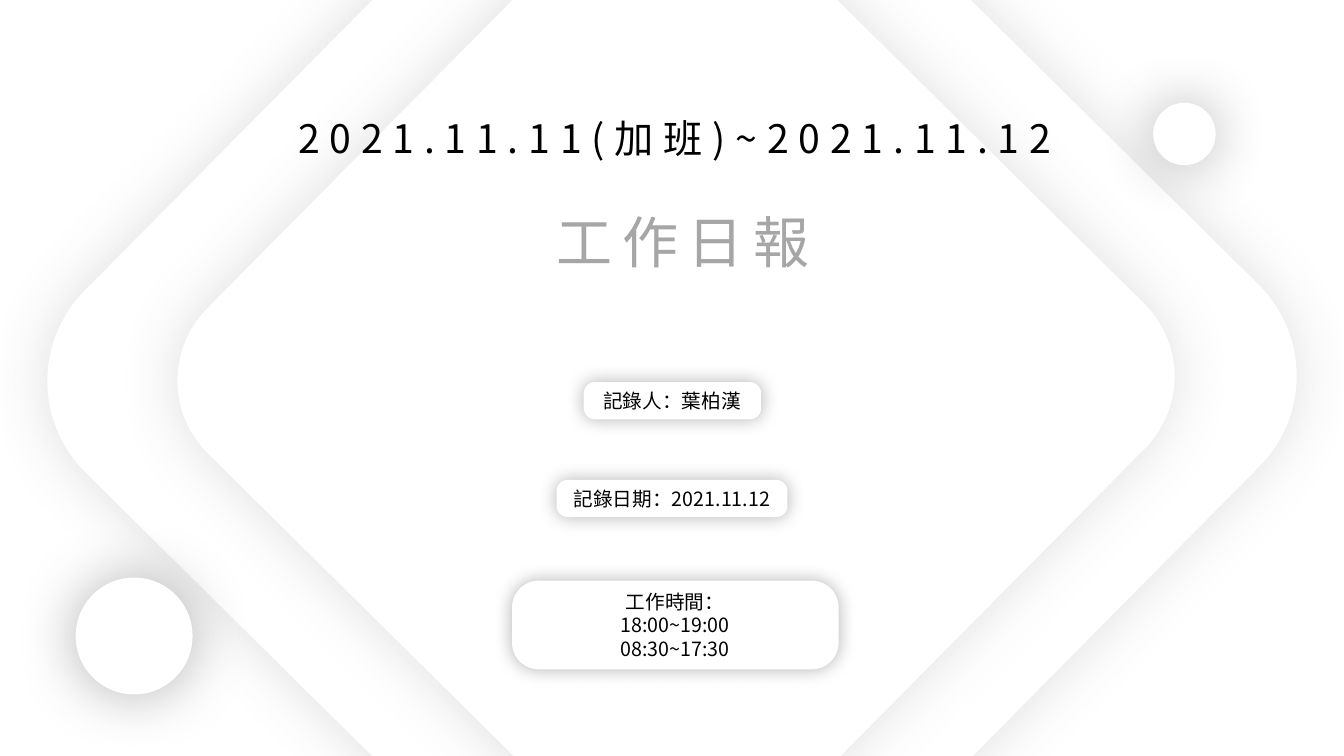
from dataclasses import dataclass
from typing import Optional

import pptx
import pptx.dml.color
import pptx.enum.shapes
import pptx.enum.text
import pptx.oxml
import pptx.oxml.ns
import pptx.util

SLIDE_WIDTH = pptx.util.Inches(13.33)
SLIDE_HEIGHT = pptx.util.Inches(7.5)
FONT = "Noto Sans CJK SC"
WHITE, BLACK, GREY, DARK_GREY = "FFFFFF", "000000", "A6A6A6", "595959"
ROUNDED = pptx.enum.shapes.MSO_SHAPE.ROUNDED_RECTANGLE
OVAL = pptx.enum.shapes.MSO_SHAPE.OVAL


@dataclass
class Box:
    """Centre and size in percent of the slide's width and height."""
    cx: float
    cy: float
    width: float
    height: float

    def emu(self) -> tuple[int, int, int, int]:
        width = SLIDE_WIDTH * self.width / 100
        height = SLIDE_HEIGHT * self.height / 100
        left = SLIDE_WIDTH * self.cx / 100 - width / 2
        top = SLIDE_HEIGHT * self.cy / 100 - height / 2
        return round(left), round(top), round(width), round(height)


@dataclass
class Glow:
    color: str
    opacity: int
    blur: int


@dataclass
class Caption:
    text: str
    box: Box
    size: int
    color: str = BLACK
    spacing: int = 0


@dataclass
class Badge:
    plate: Box
    caption: Caption


def square(cx: float, cy: float, side: float) -> Box:
    return Box(cx, cy, side, side * SLIDE_WIDTH / SLIDE_HEIGHT)


def rgb(color: str) -> pptx.dml.color.RGBColor:
    return pptx.dml.color.RGBColor.from_string(color)


def add_plate(shapes, kind, box: Box, glow: Glow,
              corner: Optional[float] = None, rotation: float = 0) -> None:
    plate = shapes.add_shape(kind, *box.emu())
    plate.rotation = rotation
    if corner is not None:
        plate.adjustments[0] = corner
    plate.fill.solid()
    plate.fill.fore_color.rgb = rgb(WHITE)
    plate.line.fill.background()
    plate.shadow.inherit = False
    effects = plate._element.spPr.find(pptx.oxml.ns.qn("a:effectLst"))
    effects.append(pptx.oxml.parse_xml(
        f'<a:outerShdw {pptx.oxml.ns.nsdecls("a")} blurRad="{pptx.util.Pt(glow.blur)}" '
        f'dist="0" dir="0" algn="ctr" rotWithShape="0"><a:srgbClr val="{glow.color}">'
        f'<a:alpha val="{glow.opacity * 1000}"/></a:srgbClr></a:outerShdw>'))


def add_caption(shapes, caption: Caption) -> None:
    frame = shapes.add_textbox(*caption.box.emu()).text_frame
    frame.word_wrap = True
    frame.auto_size = pptx.enum.text.MSO_AUTO_SIZE.SHAPE_TO_FIT_TEXT
    frame.text = caption.text
    for paragraph in frame.paragraphs:
        paragraph.alignment = pptx.enum.text.PP_ALIGN.CENTER
        for run in paragraph.runs:
            run.font.size = pptx.util.Pt(caption.size)
            run.font.color.rgb = rgb(caption.color)
            run.font.name = FONT
            properties = run.font._element
            if caption.spacing:
                properties.set("spc", str(caption.spacing * 100))
            # East Asian typeface follows the Latin one
            properties.find(pptx.oxml.ns.qn("a:latin")).addnext(pptx.oxml.parse_xml(
                f'<a:ea {pptx.oxml.ns.nsdecls("a")} typeface="{FONT}"/>'))


DIAMONDS = [square(50, 50.07, 71.33), square(50.3, 50.07, 56.93)]
CIRCLES = [square(9.98, 84.13, 8.7), square(88.13, 17.73, 4.65)]
HEADINGS = [
    Caption("2021.11.11(加班)~2021.11.12", Box(50.21, 18.33, 60.53, 7.6), 28, spacing=7),
    Caption("工作日報", Box(50.82, 31.93, 35.63, 10.27), 40, GREY, 7),
]
BADGES = [
    Badge(Box(50.03, 53, 13.2, 4.93),
          Caption("記錄人：葉柏漢", Box(50, 53.07, 15.68, 4.53), 14)),
    Badge(Box(50, 65.93, 17.18, 4.93),
          Caption("記錄日期：2021.11.12", Box(50, 66, 18.08, 4.53), 14)),
    Badge(Box(50.25, 82.67, 24.3, 11.73),
          Caption("工作時間：\n18:00~19:00\n08:30~17:30", Box(50.23, 82.73, 25.58, 10.8), 14)),
]


def main() -> None:
    report = pptx.Presentation()
    report.slide_width, report.slide_height = SLIDE_WIDTH, SLIDE_HEIGHT
    cover = report.slides.add_slide(report.slide_layouts[6])
    cover.background.fill.solid()
    cover.background.fill.fore_color.rgb = rgb(WHITE)

    # Backdrop diamonds
    for diamond in DIAMONDS:
        add_plate(cover.shapes, ROUNDED, diamond, Glow(DARK_GREY, 19, 43), 0.134, 44.7)

    # Date range and title
    for heading in HEADINGS:
        add_caption(cover.shapes, heading)

    # Corner circles
    for circle in CIRCLES:
        add_plate(cover.shapes, OVAL, circle, Glow(BLACK, 30, 43))

    # Recorder, date and working hours
    for badge in BADGES:
        group = cover.shapes.add_group_shape()
        add_plate(group.shapes, ROUNDED, badge.plate, Glow(BLACK, 30, 13), 0.302)
        add_caption(group.shapes, badge.caption)

    report.save("out.pptx")


if __name__ == "__main__":
    main()
